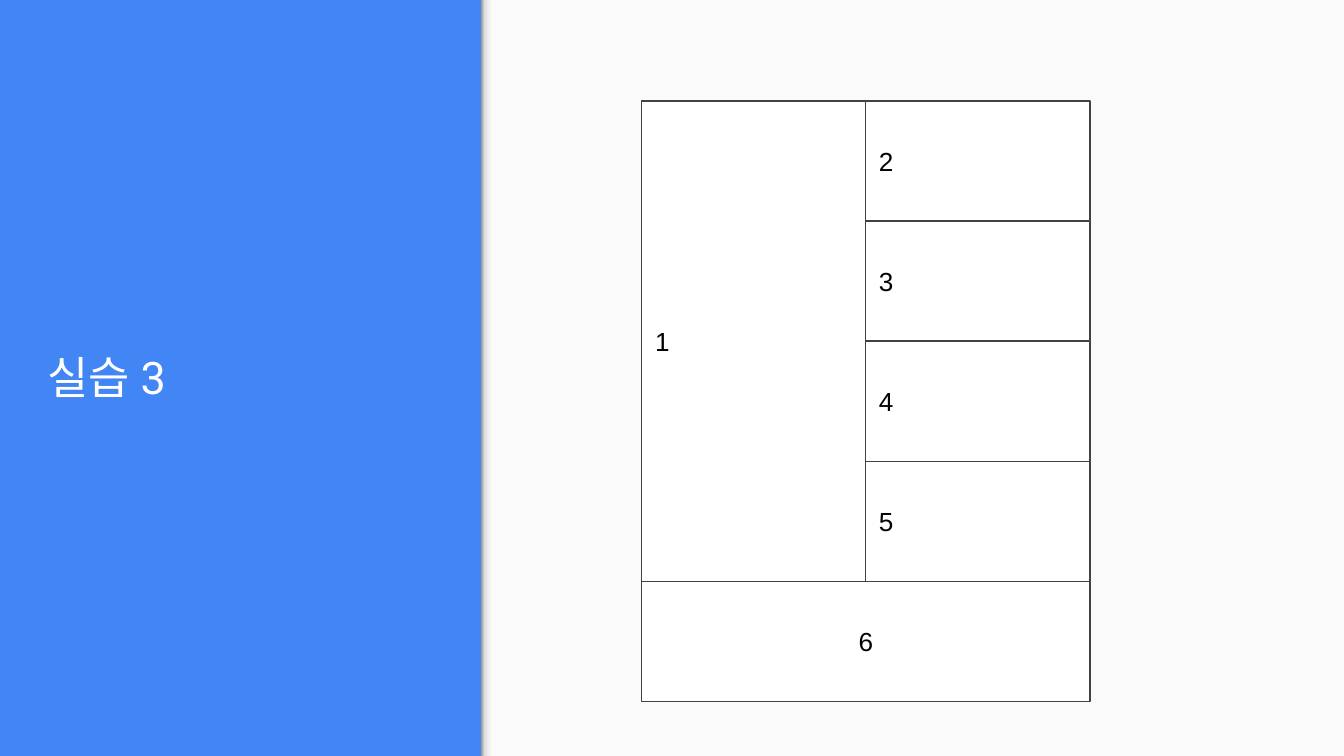
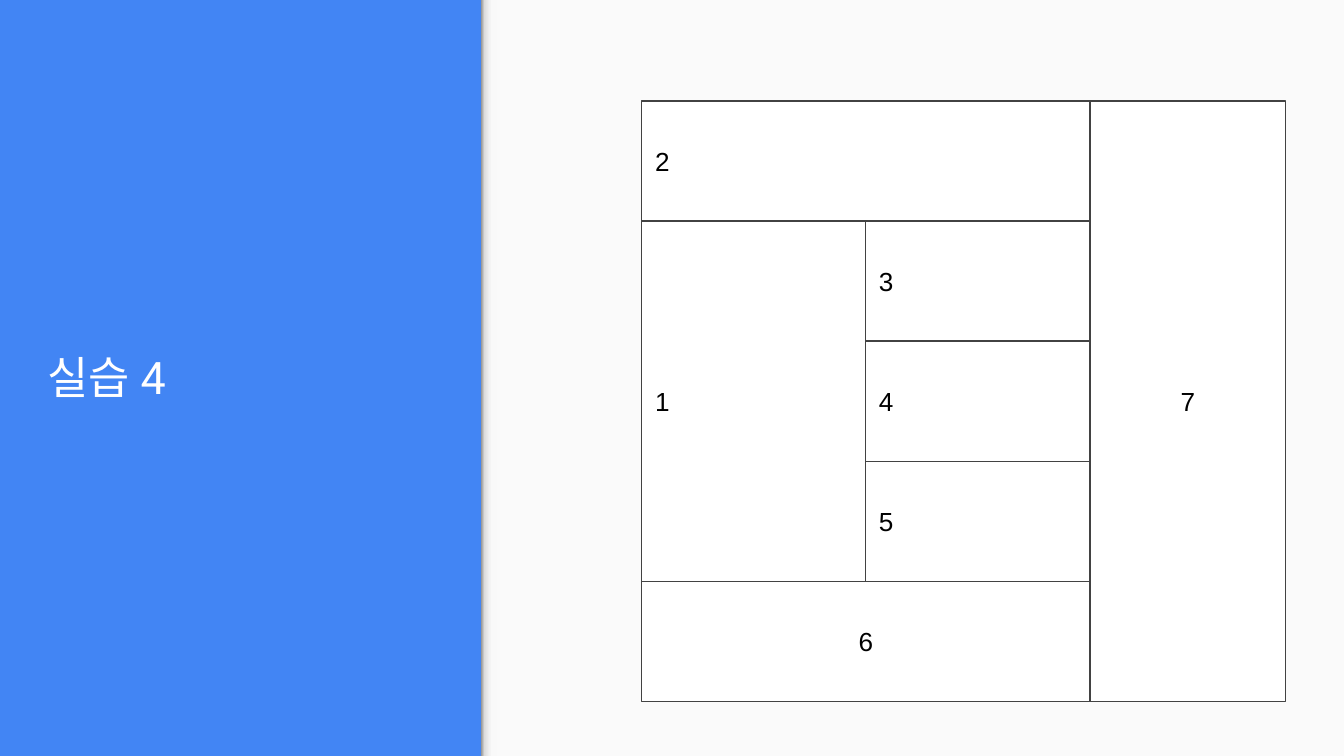
from lxml import etree
from pptx import Presentation
from pptx.dml.color import RGBColor
from pptx.enum.dml import MSO_FILL
from pptx.enum.shapes import MSO_SHAPE
from pptx.enum.text import MSO_ANCHOR, MSO_AUTO_SIZE, PP_ALIGN
from pptx.oxml.ns import qn
from pptx.util import Cm, Pt

RECTANGLE = MSO_SHAPE.RECTANGLE
GRADIENT = MSO_FILL.GRADIENT
MIDDLE, BOTTOM = MSO_ANCHOR.MIDDLE, MSO_ANCHOR.BOTTOM
LEFT, CENTER = PP_ALIGN.LEFT, PP_ALIGN.CENTER
NO_AUTOFIT = MSO_AUTO_SIZE.NONE

COLORS = {
    "blue": "4285F4",
    "panel": "FAFAFA",
    "white": "FFFFFF",
    "border": "424242",
    "black": "000000",
}
SHADOW_STOPS = [(0, "F9F9F9"), (36, "F9F9F9"), (80, "DEDEDE"), (100, "999999")]

SLIDE_WIDTH, SLIDE_HEIGHT = 25.4, 14.29
PANEL_LEFT = 9.1
SHADOW_WIDTH = 0.3
COLUMN_EDGES = [12.13, 16.36, 20.6, 24.3]
GRID_TOP, ROW_HEIGHT = 1.91, 2.27

# Each cell: text, first column, first row, columns, rows, alignment
SLIDES = [
    ("실습 3", [
        ("1", 0, 0, 1, 4, LEFT),
        ("2", 1, 0, 1, 1, LEFT),
        ("3", 1, 1, 1, 1, LEFT),
        ("4", 1, 2, 1, 1, LEFT),
        ("5", 1, 3, 1, 1, LEFT),
        ("6", 0, 4, 2, 1, CENTER),
    ]),
    ("실습 4", [
        ("1", 0, 1, 1, 3, LEFT),
        ("2", 0, 0, 2, 1, LEFT),
        ("3", 1, 1, 1, 1, LEFT),
        ("4", 1, 2, 1, 1, LEFT),
        ("5", 1, 3, 1, 1, LEFT),
        ("6", 0, 4, 2, 1, CENTER),
        ("7", 2, 0, 1, 5, CENTER),
    ]),
]


def color(name):
    return RGBColor.from_string(COLORS[name])


def write_text(shape, text, *, size, font, fill, anchor=MIDDLE, align=LEFT):
    frame = shape.text_frame
    frame.word_wrap = True
    frame.auto_size = NO_AUTOFIT
    frame.vertical_anchor = anchor
    frame.margin_left = frame.margin_right = Cm(0.25)
    frame.margin_top = frame.margin_bottom = Cm(0.25)
    paragraph = frame.paragraphs[0]
    paragraph.alignment = align
    run = paragraph.add_run()
    run.text = text
    run.font.size = Pt(size)
    run.font.name = font
    run.font.color.rgb = color(fill)
    for tag in ("a:ea", "a:cs"):
        etree.SubElement(run.font._element, qn(tag), typeface=font)


def add_rectangle(slide, left, top, width, height, fill, border=None):
    shape = slide.shapes.add_shape(
        RECTANGLE, Cm(left), Cm(top), Cm(width), Cm(height))
    shape.shadow.inherit = False
    shape.fill.solid()
    shape.fill.fore_color.rgb = color(fill)
    if border:
        shape.line.color.rgb = color(border)
        shape.line.width = Pt(0.75)
    else:
        shape.line.fill.background()
    return shape


def set_gradient(shape, stops, angle):
    shape.fill.gradient()
    shape.fill.gradient_angle = angle
    stop_list = shape._element.spPr.find(".//" + qn("a:gsLst"))
    for stop in list(stop_list):
        stop_list.remove(stop)
    for position, value in stops:
        stop = etree.SubElement(stop_list, qn("a:gs"), pos=str(position * 1000))
        etree.SubElement(stop, qn("a:srgbClr"), val=value)


def add_panel(slide):
    add_rectangle(slide, PANEL_LEFT, 0, SLIDE_WIDTH - PANEL_LEFT, SLIDE_HEIGHT,
                  "panel")
    center = PANEL_LEFT + SHADOW_WIDTH / 2
    shadow = add_rectangle(slide, center - SLIDE_HEIGHT / 2,
                           (SLIDE_HEIGHT - SHADOW_WIDTH) / 2,
                           SLIDE_HEIGHT, SHADOW_WIDTH, "panel")
    shadow.rotation = 270
    set_gradient(shadow, SHADOW_STOPS, 90)


def set_title(slide, text):
    title = slide.shapes.title
    title.left, title.top = Cm(0.64), Cm(0.99)
    title.width, title.height = Cm(7.8), Cm(6.88)
    write_text(title, text, size=24, font="Roboto", fill="white", anchor=BOTTOM)


def add_cell(slide, text, column, row, columns, rows, align):
    left = COLUMN_EDGES[column]
    cell = add_rectangle(slide, left, GRID_TOP + row * ROW_HEIGHT,
                         COLUMN_EDGES[column + columns] - left,
                         rows * ROW_HEIGHT, "white", "border")
    write_text(cell, text, size=14, font="Arial", fill="black", align=align)


def main():
    presentation = Presentation()
    presentation.slide_width = Cm(SLIDE_WIDTH)
    presentation.slide_height = Cm(SLIDE_HEIGHT)
    background = presentation.slide_master.background.fill
    background.solid()
    background.fore_color.rgb = color("blue")
    title_only = presentation.slide_layouts[5]
    for title, cells in SLIDES:
        slide = presentation.slides.add_slide(title_only)
        add_panel(slide)
        set_title(slide, title)
        for cell in cells:
            add_cell(slide, *cell)
    presentation.save("out.pptx")


if __name__ == "__main__":
    main()
